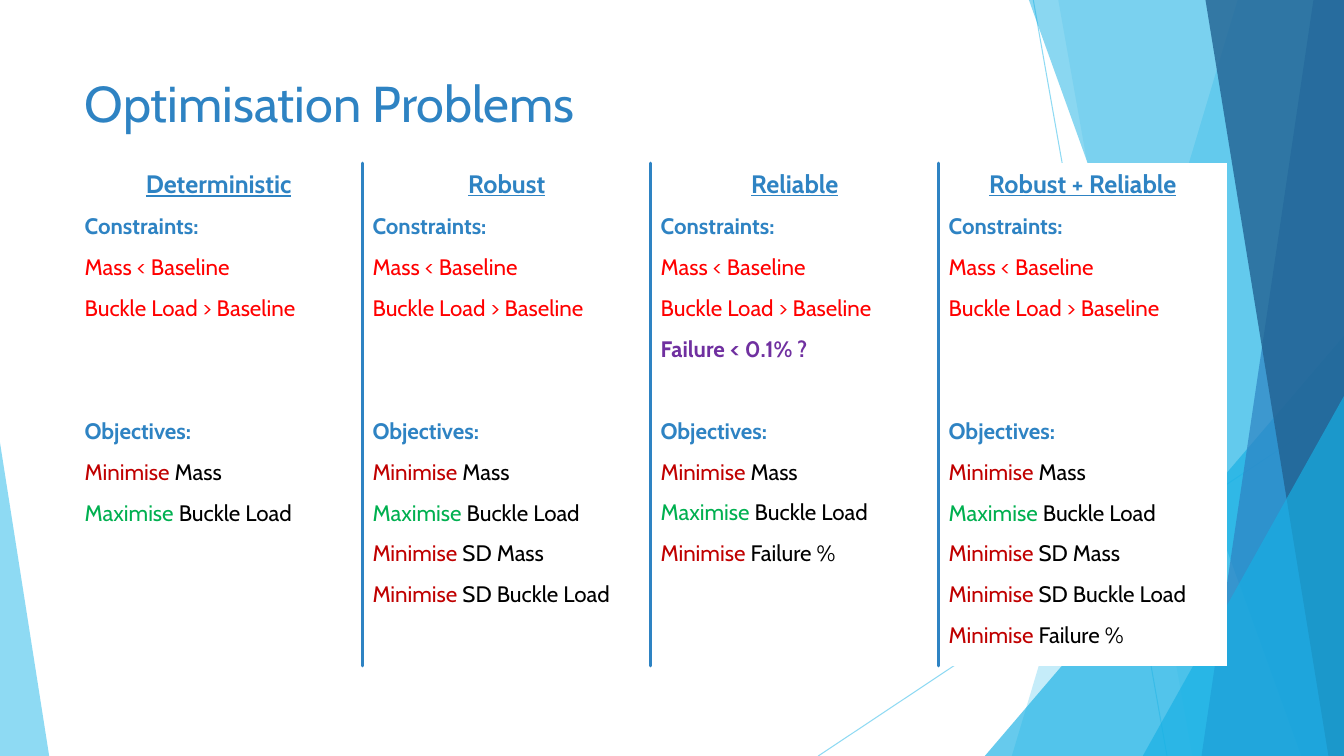
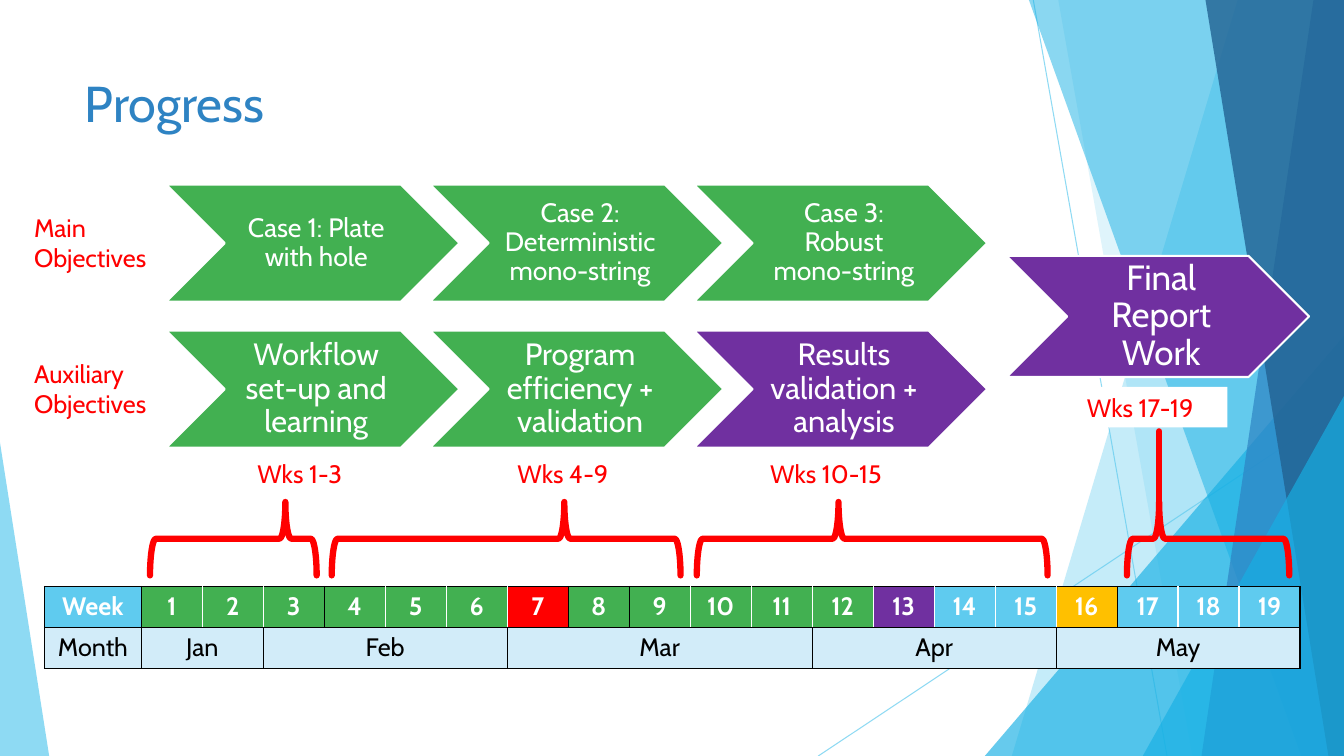
from dataclasses import dataclass
from lxml import etree
from pptx import Presentation, util as u
from pptx.dml.color import RGBColor
from pptx.enum import shapes as sh, text as tx
from pptx.oxml.ns import qn

Cm, Pt = u.Cm, u.Pt
WIDE, HIGH = 33.87, 19.05


@dataclass(frozen=True)
class Theme:
    font: str = "Cabin"
    blue: str = "2E83C3"
    sky: str = "5FCBEF"
    cyan: str = "17B0E4"
    navy: str = "226292"
    pale: str = "D2ECF9"
    white: str = "FFFFFF"
    black: str = "000000"
    red: str = "FF0000"
    dark: str = "C00000"
    lime: str = "00B050"
    green: str = "42B051"
    plum: str = "7030A0"
    gold: str = "FFC000"
    title: int = 36
    head: int = 18
    body: int = 16
    main: int = 19
    aux: int = 22
    final: int = 25


T = Theme()


# Shared helpers
def rgb(tone):
    return RGBColor.from_string(tone)


def place(shape, box):
    shape.left, shape.top, shape.width, shape.height = map(Cm, box)


def paint(shape, tone):
    shape.fill.solid()
    shape.fill.fore_color.rgb = rgb(tone)


def fade(shape, share):
    tone = next(shape.element.spPr.iter(qn("a:srgbClr")))
    etree.SubElement(tone, qn("a:alpha")).set("val", str(share * 1000))


def stroke(shape, tone, size):
    shape.line.color.rgb = rgb(tone)
    shape.line.width = Pt(size)
    shape.element.spPr.find(qn("a:ln")).set("cap", "rnd")


def rule(slide, start, end, tone, size):
    line = slide.shapes.add_connector(
        sh.MSO_CONNECTOR.STRAIGHT, *map(Cm, (*start, *end)))
    stroke(line, tone, size)
    etree.SubElement(line.element.spPr, qn("a:effectLst"))
    return line


def write(para, words, tone, size, bold=False, under=False):
    run = para.add_run()
    run.text = words
    font = run.font
    font.name, font.size, font.bold, font.underline = T.font, Pt(size), bold, under
    font.color.rgb = rgb(tone)


def set_title(slide, words):
    title = slide.shapes.title
    place(title, (1.88, 1.7, 23.88, 1.98))
    frame = title.text_frame
    frame.vertical_anchor = tx.MSO_ANCHOR.TOP
    frame.auto_size = tx.MSO_AUTO_SIZE.NONE
    para = frame.paragraphs[0]
    para.alignment = tx.PP_ALIGN.LEFT
    write(para, words, T.blue, T.title)


# Facets on the master
def facet(slide, top, base, tone, share):
    pen = slide.shapes.build_freeform(Cm(top), 0)
    pen.add_line_segments([(Cm(x), Cm(y)) for x, y in
                           ((WIDE, 0), (WIDE, HIGH), (base, HIGH))])
    return finish(pen.convert_to_shape(), tone, share)


def wedge(slide, box, apex, tone, share):
    shape = slide.shapes.add_shape(
        sh.MSO_SHAPE.ISOSCELES_TRIANGLE, *map(Cm, box))
    shape.adjustments[0] = apex
    return finish(shape, tone, share)


def finish(shape, tone, share):
    shape.shadow.inherit = False
    paint(shape, tone)
    fade(shape, share)
    shape.line.fill.background()
    return shape


def backdrop(slide, master):
    parts = []
    for start, end in (((26.04, 0), (29.41, HIGH)),
                       ((WIDE, 10.24), (20.62, HIGH))):
        line = rule(slide, start, end, T.sky, 0.75)
        fade(line, 70)
        parts.append(line)
    parts += [
        facet(slide, 31.19, 25.5, T.sky, 36),
        facet(slide, 26.67, 30.05, T.sky, 20),
        wedge(slide, (24.82, 8.46, 9.05, 10.59), 1, T.cyan, 66),
        facet(slide, 25.93, 32.79, T.cyan, 50),
        facet(slide, 33.1, 30.28, T.blue, 70),
        facet(slide, 30.38, 33.48, T.navy, 80),
        wedge(slide, (28.8, 9.98, 5.07, 9.07), 1, T.cyan, 66),
        wedge(slide, (0, 11.15, 1.24, 7.9), 0, T.sky, 70),
    ]
    for key, part in enumerate(parts, 100):
        part.element.xpath("./*/p:cNvPr")[0].set("id", str(key))
        master.shapes.element.append(part.element)


# Slide 1: four columns
MASS, LOAD = ("Minimise", " Mass"), ("Maximise", " Buckle Load")
SPREAD = [("Minimise", " SD Mass"), ("Minimise", " SD Buckle Load")]
FAIL = ("Minimise", " Failure %")
COLS = [
    ("Deterministic", [], []),
    ("Robust", [], SPREAD),
    ("Reliable", ["Failure < 0.1% ?"], [FAIL]),
    ("Robust + Reliable", [], SPREAD + [FAIL]),
]
GAP, PITCH = 10, 29.3


def column(shape, box, head, extra, goals):
    place(shape, box)
    paint(shape, T.white)
    frame = shape.text_frame
    frame.word_wrap = True
    frame.auto_size = tx.MSO_AUTO_SIZE.NONE
    rows = [[(head, T.blue, T.head, True, True)],
            [("Constraints:", T.blue, T.body, True)]]
    rows += [[(words, T.red, T.body)]
             for words in ("Mass < Baseline", "Buckle Load > Baseline")]
    rows += [[(words, T.plum, T.body, True)] for words in extra]
    split = len(rows)
    rows.append([("Objectives:", T.blue, T.body, True)])
    rows += [[(verb, T.lime if verb == "Maximise" else T.dark, T.body),
              (noun, T.black, T.body)] for verb, noun in [MASS, LOAD] + goals]
    for i, runs in enumerate(rows):
        para = frame.add_paragraph() if i else frame.paragraphs[0]
        para.alignment = tx.PP_ALIGN.LEFT if i else tx.PP_ALIGN.CENTER
        para.space_before = Pt(
            GAP + (2 - len(extra)) * PITCH if i == split else GAP)
        props = para._p.get_or_add_pPr()
        props.set("marL", "0")
        props.set("indent", "0")
        etree.SubElement(props, qn("a:buNone"))
        for run in runs:
            write(para, *run)


def problems(slide, box):
    set_title(slide, "Optimisation Problems")
    left, top, wide, high = box
    step = wide / len(COLS)
    for i, data in enumerate(COLS):
        spot = (left + i * step, top, step, high)
        shape = (slide.shapes.add_textbox(*map(Cm, spot)) if i
                 else slide.placeholders[1])
        column(shape, spot, *data)
    for i in range(1, len(COLS)):
        x = left + i * step
        rule(slide, (x, top), (x, top + high), T.blue, 2.25)


# Slide 2: steps, labels, braces and calendar
def step(slide, box, words, tone, size):
    shape = slide.shapes.add_shape(sh.MSO_SHAPE.CHEVRON, *map(Cm, box))
    shape.shadow.inherit = False
    paint(shape, tone)
    stroke(shape, T.white, 1.5)
    frame = shape.text_frame
    frame.word_wrap = True
    frame.vertical_anchor = tx.MSO_ANCHOR.MIDDLE
    frame.margin_left = Cm(0.25)
    frame.margin_right = frame.margin_top = frame.margin_bottom = Cm(0.08)
    para = frame.paragraphs[0]
    para.alignment = tx.PP_ALIGN.CENTER
    para.line_spacing = 0.9
    write(para, words, T.white, size)


def label(slide, box, words, align):
    shape = slide.shapes.add_textbox(*map(Cm, box))
    paint(shape, T.white)
    shape.text_frame.word_wrap = True
    para = shape.text_frame.paragraphs[0]
    para.alignment = align
    write(para, words, T.red, T.head)


def brace(slide, left, right, tip, top, high):
    span = right - left
    shape = slide.shapes.add_shape(sh.MSO_SHAPE.LEFT_BRACE, *map(Cm, (
        (left + right - high) / 2, top + (high - span) / 2, high, span)))
    shape.rotation = 90
    shape.adjustments[0] = 0.08
    shape.adjustments[1] = (right - tip) / span
    shape.shadow.inherit = False
    shape.fill.background()
    stroke(shape, T.red, 4.5)


def fill_cell(cell, words, tone, ink, bold, sides):
    props = cell._tc.get_or_add_tcPr()
    for side, edge in zip("LRTB", sides):
        line = etree.SubElement(props, qn("a:ln" + side), w=str(Pt(1)))
        solid = etree.SubElement(line, qn("a:solidFill"))
        etree.SubElement(solid, qn("a:srgbClr"), val=edge)
    paint(cell, tone)
    if words:
        para = cell.text_frame.paragraphs[0]
        para.alignment = tx.PP_ALIGN.CENTER
        write(para, words, ink, T.head, bold)


def agenda(slide, box, first):
    table = slide.shapes.add_table(2, 20, *map(Cm, box)).table
    table.first_row = table.horz_banding = False
    for i, col in enumerate(table.columns):
        col.width = Cm((box[2] - first) / 19 if i else first)
    for row in table.rows:
        row.height = Cm(box[3] / 2)
    tones = dict.fromkeys([*range(1, 7), *range(8, 13)], T.green)
    tones |= {7: T.red, 13: T.plum, 16: T.gold}
    months = {0: "Month", 1: "Jan", 3: "Feb", 7: "Mar", 12: "Apr", 16: "May"}
    edges = {-1, 0, 3, 7, 8, 16, 19}
    for i in range(20):
        sides = [T.black if j in edges else T.white for j in (i - 1, i)]
        fill_cell(table.cell(0, i), str(i) if i else "Week",
                  tones.get(i, T.sky), T.white, True, sides + [T.black] * 2)
        fill_cell(table.cell(1, i), months.get(i), T.pale, T.black, False,
                  [T.black] * 4)
    starts = [*months, 20]
    for a, b in zip(starts[1:], starts[2:]):
        table.cell(1, a).merge(table.cell(1, b - 1))


def progress(slide):
    set_title(slide, "Progress")
    tracks = [
        ("Main Objectives", 4.65, T.main, [
            ("Case 1: Plate with\u00a0hole", T.green),
            ("Case 2: Deterministic mono-string", T.green),
            ("Case 3: Robust mono-string", T.green)]),
        ("Auxiliary Objectives", 8.33, T.aux, [
            ("Workflow set-up and learning", T.green),
            ("Program efficiency + validation", T.green),
            ("Results validation + analysis", T.plum)]),
    ]
    for name, top, size, steps in tracks:
        for i, (words, tone) in enumerate(steps):
            step(slide, (4.19 + i * 6.65, top, 7.39, 2.95), words, tone, size)
        label(slide, (0.61, top + 0.58, 3.58, 1.8), name, tx.PP_ALIGN.LEFT)
    step(slide, (25.37, 6.45, 7.62, 3.05), "Final Report Work", T.plum, T.final)

    agenda(slide, (1.12, 14.78, 31.65, 2.06), 2.44)
    phases = [
        ("Wks 1-3", 5.36, 11.43, 3.78, 7.98, 7.19),
        ("Wks 4-9", 11.99, 11.43, 8.36, 17.15, 14.22),
        ("Wks 10-15", 18.62, 11.43, 17.56, 26.4, 21.13),
        ("Wks 17-19", 26.54, 9.75, 28.4, 32.49, 29.21),
    ]
    for words, x, y, left, right, tip in phases:
        label(slide, (x, y, 4.39, 1.02), words, tx.PP_ALIGN.CENTER)
        brace(slide, left, right, tip, 12.65, 1.85)
    rule(slide, (tip, 12.65), (tip, 10.87), T.red, 4.5)


deck = Presentation()
deck.slide_width, deck.slide_height = Cm(WIDE), Cm(HIGH)
page = deck.slides.add_slide(deck.slide_layouts[1])
backdrop(page, deck.slide_master)
problems(page, (1.88, 4.11, 29.04, 12.67))
progress(deck.slides.add_slide(deck.slide_layouts[5]))
deck.save("out.pptx")
